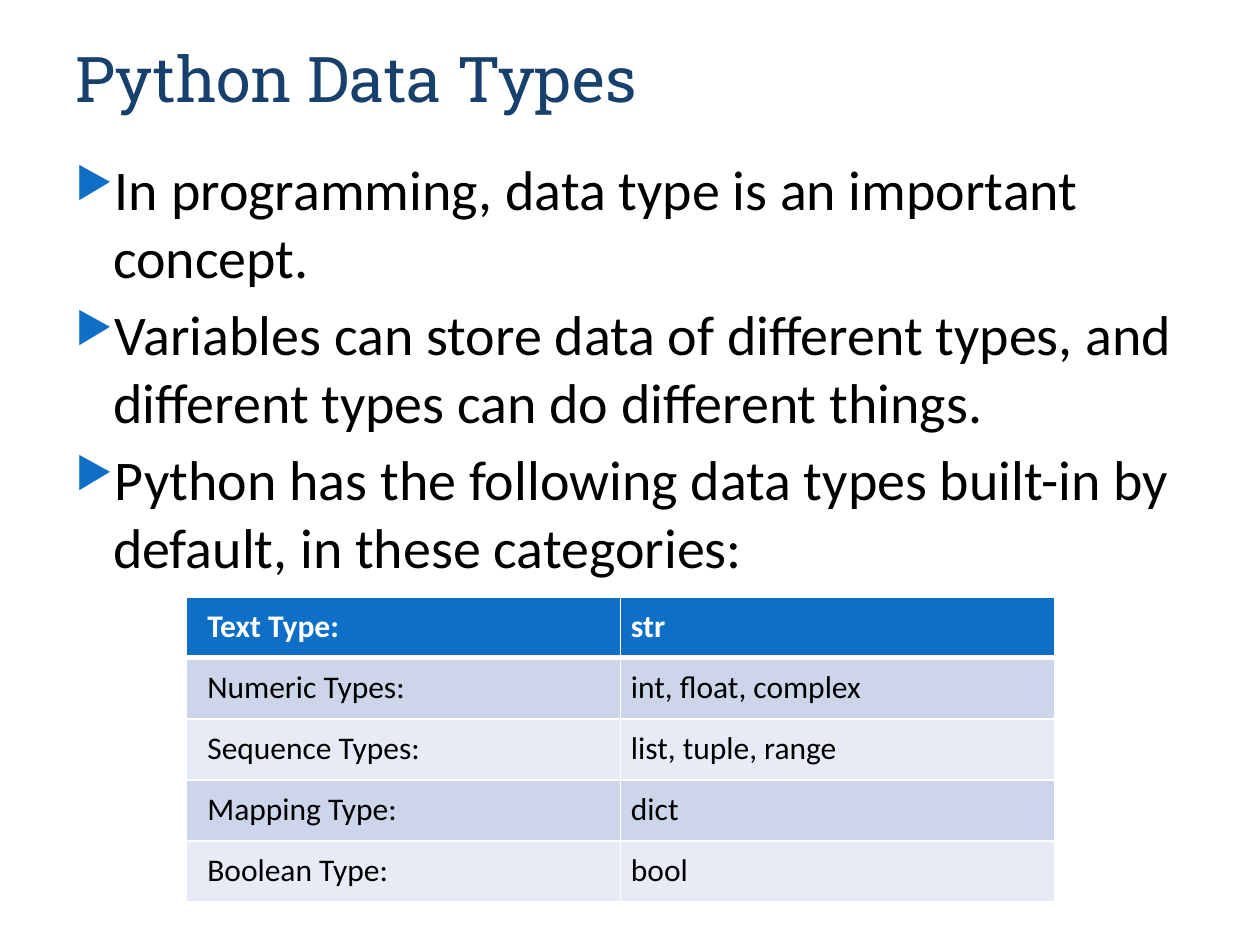
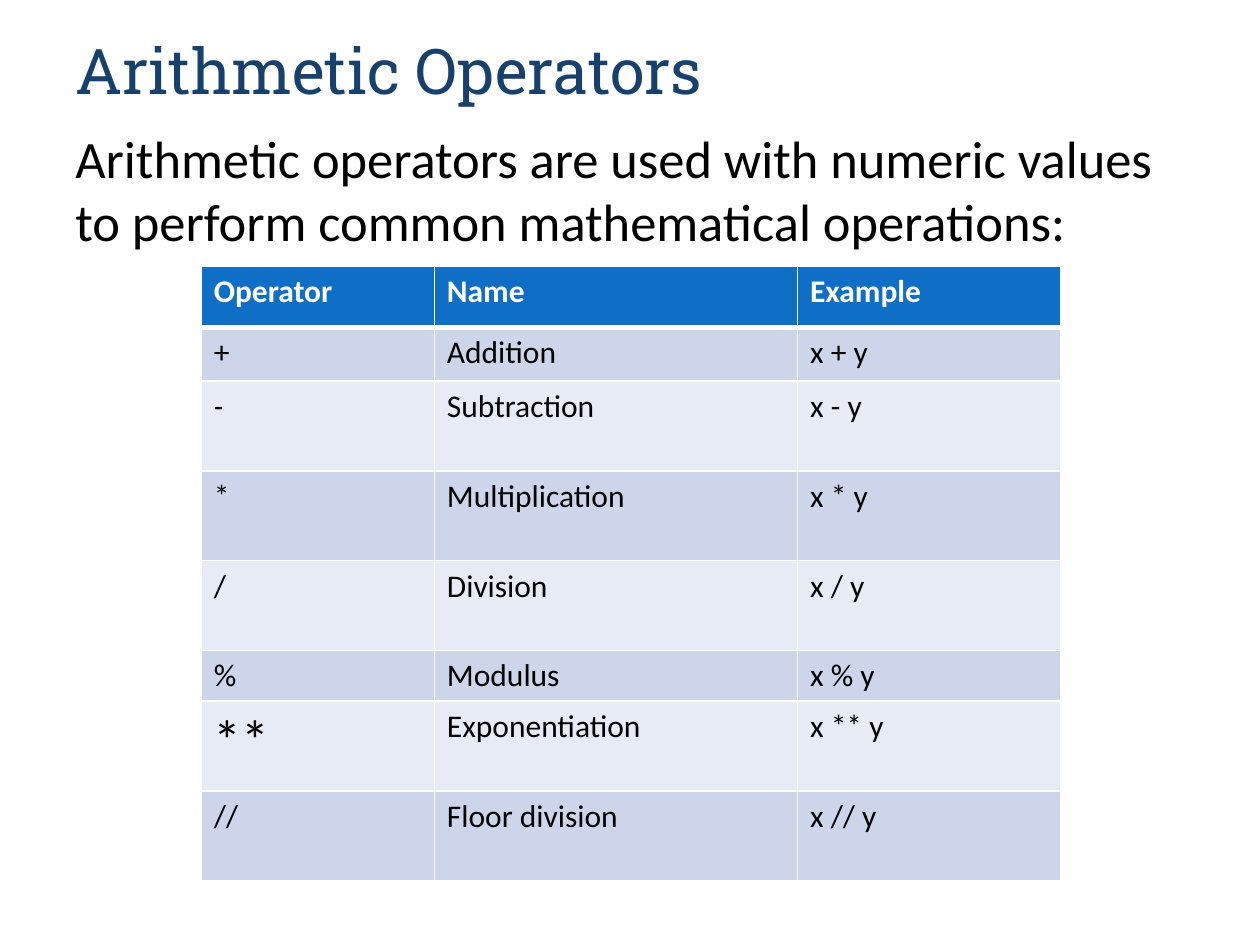
from lxml import etree
from pptx import Presentation
from pptx.dml.color import RGBColor
from pptx.enum.text import MSO_ANCHOR, MSO_AUTO_SIZE, PP_ALIGN
from pptx.oxml.ns import qn
from pptx.util import Cm, Pt

BOTTOM, TOP = MSO_ANCHOR.BOTTOM, MSO_ANCHOR.TOP
LEFT = PP_ALIGN.LEFT
NO_FIT = MSO_AUTO_SIZE.NONE

NAVY = RGBColor(0x17, 0x40, 0x6D)
BLUE = RGBColor(0x0F, 0x6F, 0xC6)
BLACK = RGBColor(0x00, 0x00, 0x00)
WHITE = RGBColor(0xFF, 0xFF, 0xFF)
BANDS = [RGBColor(0xCC, 0xD5, 0xEA), RGBColor(0xE7, 0xEB, 0xF5)]
TITLE_FONT, BODY_FONT = "Roboto Slab", "Calibri"
MARGIN, CONTENT_WIDTH = Cm(1.27), Cm(22.86)

# Content; lengths in centimetres, text sizes in points
SLIDES = [
    {
        "title": "Python Data Types",
        "title_height": 2.74,
        "body": [
            "In programming, data type is an important concept.",
            "Variables can store data of different types, and different types "
            "can do different things.",
            "Python has the following data types built-in by default, "
            "in these categories:",
        ],
        "body_top": 3.0, "body_height": 14.88, "body_size": 32, "bulleted": True,
        "rows": [
            ("Text Type:", "str"),
            ("Numeric Types:", "int, float, complex"),
            ("Sequence Types:", "list, tuple, range"),
            ("Mapping Type:", "dict"),
            ("Boolean Type:", "bool"),
        ],
        "table_at": (3.76, 12.03),
        "column_widths": [8.75] * 2,
        "row_heights": [1.23] * 5,
        "cell_margins": {"top": 0.21, "bottom": 0.21, "right": 0.21},
        "left_margins": [0.42, 0.21],
        "large_cells": {},
    },
    {
        "title": "Arithmetic Operators",
        "title_height": 2.57,
        "body": [
            "Arithmetic operators are used with numeric values to perform "
            "common mathematical operations:",
        ],
        "body_top": 2.41, "body_height": 16.21, "body_size": 30, "bulleted": False,
        "rows": [
            ("Operator", "Name", "Example"),
            ("+", "Addition", "x + y"),
            ("-", "Subtraction", "x - y"),
            ("*", "Multiplication", "x * y"),
            ("/", "Division", "x / y"),
            ("%", "Modulus", "x % y"),
            ("**", "Exponentiation", "x ** y"),
            ("//", "Floor division", "x // y"),
        ],
        "table_at": (4.06, 5.36),
        "column_widths": [4.7, 7.32, 5.31],
        "row_heights": [1.24, 1.08, 1.81, 1.81, 1.81, 1.02, 1.81, 1.81],
        "cell_margins": {"top": 0.13, "bottom": 0.13, "right": 0.25},
        "left_margins": [0.25] * 3,
        "large_cells": {"**": 32},
    },
]


def set_font(paragraph, name, size, color, bold=False):
    font = paragraph.font
    font.name, font.size, font.bold = name, Pt(size), bold
    font.color.rgb = color


def add_title(slide, content):
    title = slide.shapes.title
    title.left, title.top = MARGIN, Cm(1.14)
    title.width, title.height = CONTENT_WIDTH, Cm(content["title_height"])
    frame = title.text_frame
    frame.text = content["title"]
    frame.auto_size = NO_FIT
    frame.vertical_anchor = BOTTOM
    frame.margin_top, frame.margin_bottom = 0, Cm(1.55)
    frame.paragraphs[0].alignment = LEFT
    set_font(frame.paragraphs[0], TITLE_FONT, 36, NAVY)


def add_bullet(paragraph):
    properties = paragraph._p.get_or_add_pPr()
    properties.set("marL", str(Cm(0.76)))
    properties.set("indent", str(-Cm(0.76)))
    settings = {"buClr": {}, "buSzPct": {"val": "76000"}, "buChar": {"char": "▶"}}
    # Bullet settings precede the paragraph's default run properties
    position = len(properties.findall(qn("a:spcBef")))
    for offset, (tag, attributes) in enumerate(settings.items()):
        element = etree.Element(qn(f"a:{tag}"), attributes)
        properties.insert(position + offset, element)
    etree.SubElement(properties.find(qn("a:buClr")), qn("a:srgbClr"), val=str(BLUE))


def add_body(slide, content):
    body = slide.shapes.add_textbox(MARGIN, Cm(content["body_top"]),
                                    CONTENT_WIDTH, Cm(content["body_height"]))
    frame = body.text_frame
    frame.word_wrap = True
    for index, sentence in enumerate(content["body"]):
        paragraph = frame.add_paragraph() if index else frame.paragraphs[0]
        paragraph.text = sentence
        paragraph.space_before = Pt(6)
        set_font(paragraph, BODY_FONT, content["body_size"], BLACK)
        if content["bulleted"]:
            add_bullet(paragraph)


def add_borders(cell, top, bottom):
    properties = cell._tc.get_or_add_tcPr()
    for side, points in (("L", 1), ("R", 1), ("T", top), ("B", bottom)):
        line = etree.SubElement(properties, qn(f"a:ln{side}"), w=str(Pt(points)))
        fill = etree.SubElement(line, qn("a:solidFill"))
        etree.SubElement(fill, qn("a:srgbClr"), val=str(WHITE))


def add_grid(slide, content):
    rows, widths = content["rows"], content["column_widths"]
    heights, margins = content["row_heights"], content["cell_margins"]
    left, top = content["table_at"]
    grid = slide.shapes.add_table(len(rows), len(widths), Cm(left), Cm(top),
                                  Cm(sum(widths)), Cm(sum(heights))).table
    for column, width in zip(grid.columns, widths):
        column.width = Cm(width)
    for r, (labels, height) in enumerate(zip(rows, heights)):
        grid.rows[r].height = Cm(height)
        header = r == 0
        for c, label in enumerate(labels):
            cell = grid.cell(r, c)
            cell.text = label
            cell.vertical_anchor = TOP
            cell.margin_left = Cm(content["left_margins"][c])
            cell.margin_right = Cm(margins["right"])
            cell.margin_top = Cm(margins["top"])
            cell.margin_bottom = Cm(margins["bottom"])
            # Heavier rule between the header and the first row
            add_borders(cell, top=3 if r == 1 else 1, bottom=3 if header else 1)
            cell.fill.solid()
            cell.fill.fore_color.rgb = BLUE if header else BANDS[(r - 1) % 2]
            set_font(cell.text_frame.paragraphs[0], BODY_FONT,
                     content["large_cells"].get(label, 18),
                     WHITE if header else BLACK, bold=header)


def main():
    deck = Presentation()
    deck.slide_width, deck.slide_height = Cm(25.4), Cm(19.05)
    title_only = deck.slide_layouts[5]
    for content in SLIDES:
        slide = deck.slides.add_slide(title_only)
        add_title(slide, content)
        add_body(slide, content)
        add_grid(slide, content)
    deck.save("out.pptx")


if __name__ == "__main__":
    main()
